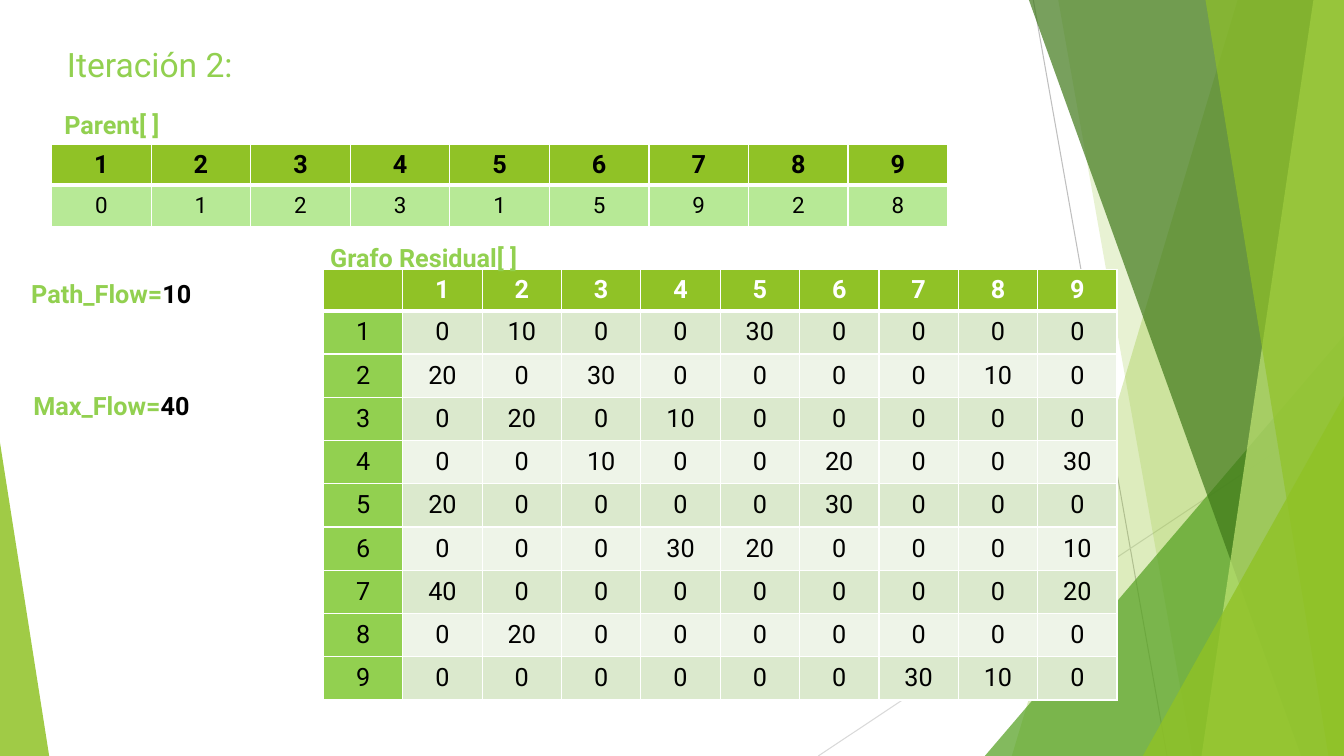
"""Build the slide for iteration 2 of a maximum flow run."""
from dataclasses import dataclass
from lxml.etree import SubElement
from pptx import Presentation
from pptx.dml.color import RGBColor
from pptx.enum.shapes import MSO_CONNECTOR, MSO_SHAPE
from pptx.enum.text import MSO_ANCHOR, MSO_AUTO_SIZE, PP_ALIGN
from pptx.oxml.ns import qn
from pptx.util import Cm, Pt


@dataclass(frozen=True)
class Theme:
    font: str = "Roboto"
    title: int = 24
    text: int = 18
    small: int = 16
    lime: str = "92D050"
    leaf: str = "90C226"
    grass: str = "54A021"
    moss: str = "3F7819"
    pale: str = "C0E474"
    mint: str = "B7E996"
    odd: str = "DBE9CD"
    even: str = "EEF4E8"
    black: str = "000000"
    white: str = "FFFFFF"
    gray: str = "BFBFBF"
    mist: str = "D9D9D9"


def style(para, size, color, bold):
    para.alignment = PP_ALIGN.CENTER
    for run in para.runs:
        run.font.name = theme.font
        run.font.size = Pt(size)
        run.font.bold = bold
        run.font.color.rgb = RGBColor.from_string(color)


def fill_cell(cell, value, row, size, color, back):
    props = cell._tc.get_or_add_tcPr()
    for side in "LRTB":
        thick = (row, side) in ((0, "B"), (1, "T"))
        line = SubElement(props, qn(f"a:ln{side}"), w=str(Pt(3 if thick else 1)))
        solid = SubElement(line, qn("a:solidFill"))
        SubElement(solid, qn("a:srgbClr"), val=theme.white)
    cell.fill.solid()
    cell.fill.fore_color.rgb = RGBColor.from_string(back)
    cell.vertical_anchor = MSO_ANCHOR.MIDDLE
    cell.text_frame.text = value
    style(cell.text_frame.paragraphs[0], size, color, row == 0)


theme = Theme()
deck = Presentation()
deck.slide_width, deck.slide_height = Cm(33.87), Cm(19.05)
slide = deck.slides.add_slide(deck.slide_layouts[5])
shapes = slide.shapes
right, base = 33.87, 19.05

rays = [
    (26.04, 0, 29.41, base, theme.gray),
    (right, 10.24, 20.62, base, theme.mist),
]
for x1, y1, x2, y2, color in rays:
    ray = shapes.add_connector(MSO_CONNECTOR.STRAIGHT, Cm(x1), Cm(y1), Cm(x2), Cm(y2))
    ray.line.color.rgb = RGBColor.from_string(color)
    ray.line.width = Pt(0.75)
    SubElement(ray._element.spPr, qn("a:effectLst"))

facets = [
    ("band", 31.19, 25.5, theme.leaf, 30),
    ("band", 26.67, 30.05, theme.leaf, 20),
    ("peak", (24.82, 8.46, 9.05), 1, theme.grass, 72),
    ("band", 25.93, 32.79, theme.moss, 70),
    ("band", 33.1, 30.28, theme.pale, 70),
    ("band", 30.38, 33.48, theme.leaf, 65),
    ("peak", (28.8, 9.98, 5.07), 1, theme.leaf, 80),
    ("peak", (0, 11.15, 1.24), 0, theme.leaf, 85),
]
for kind, start, end, color, alpha in facets:
    if kind == "band":
        path = shapes.build_freeform(Cm(start), 0)
        corners = [(right, 0), (right, base), (end, base)]
        path.add_line_segments([(Cm(x), Cm(y)) for x, y in corners])
        facet = path.convert_to_shape()
    else:
        left, top, width = start
        facet = shapes.add_shape(MSO_SHAPE.ISOSCELES_TRIANGLE,
                                 Cm(left), Cm(top), Cm(width), Cm(base - top))
        facet.adjustments[0] = end
    facet.shadow.inherit = False
    facet.line.fill.background()
    facet.fill.solid()
    facet.fill.fore_color.rgb = RGBColor.from_string(color)
    tint = facet._element.spPr.find(qn("a:solidFill"))[0]
    SubElement(tint, qn("a:alpha"), val=str(alpha * 1000))

heads = [str(n) for n in range(1, 10)]
parent = [heads, "0 1 2 3 1 5 9 2 8".split()]
flows = [
    "0 10 0 0 30 0 0 0 0",
    "20 0 30 0 0 0 0 10 0",
    "0 20 0 10 0 0 0 0 0",
    "0 0 10 0 0 20 0 0 30",
    "20 0 0 0 0 30 0 0 0",
    "0 0 0 30 20 0 0 0 10",
    "40 0 0 0 0 0 0 0 20",
    "0 20 0 0 0 0 0 0 0",
    "0 0 0 0 0 0 30 10 0",
]
graph = [["", *heads]] + [[n, *flow.split()] for n, flow in zip(heads, flows)]
grids = [
    (parent, 1.3, 3.64, 2.51, 1.03, 1.03, theme.black, theme.small, False),
    (graph, 8.15, 6.8, 2, 1, 1.09, theme.white, theme.text, True),
]
for data, left, top, wide, first, high, ink, size, keyed in grids:
    rows, cols = len(data), len(data[0])
    frame = shapes.add_table(rows, cols, Cm(left), Cm(top), Cm(wide * cols),
                             Cm(first + high * (rows - 1)))
    table = frame.table
    for col in table.columns:
        col.width = Cm(wide)
    for r, values in enumerate(data):
        table.rows[r].height = Cm(high if r else first)
        for c, value in enumerate(values):
            if r == 0:
                look = theme.text, ink, theme.leaf
            elif not keyed:
                look = size, theme.black, theme.mint
            elif c == 0:
                look = size, theme.black, theme.lime
            else:
                look = size, theme.black, theme.odd if r % 2 else theme.even
            fill_cell(table.cell(r, c), value, r, *look)

labels = [
    ("Iteración 2:", "", 1.3, 0.97, 4.95, 1.27),
    ("Parent[ ]", "", 1.22, 2.62, 3.2, 1.02),
    ("Grafo Residual[ ]", "", 7.9, 5.97, 5.56, 1.02),
    ("Path_Flow=", "10", 0.43, 6.88, 4.75, 1.02),
    ("Max_Flow=", "40", 0.51, 9.7, 4.6, 1.02),
]
for i, (name, value, *place) in enumerate(labels):
    left, top, width, height = [Cm(n) for n in place]
    if i == 0:
        box = shapes.title
        box.left, box.top, box.width, box.height = left, top, width, height
    else:
        box = shapes.add_textbox(left, top, width, height)
    text = box.text_frame
    text.text = name
    text.word_wrap = False
    text.auto_size = MSO_AUTO_SIZE.NONE
    text.vertical_anchor = MSO_ANCHOR.TOP
    para = text.paragraphs[0]
    if value:
        para.add_run().text = value
    style(para, theme.text if i else theme.title, theme.lime, i > 0)
    if value:
        para.runs[1].font.color.rgb = RGBColor.from_string(theme.black)

deck.save("out.pptx")
